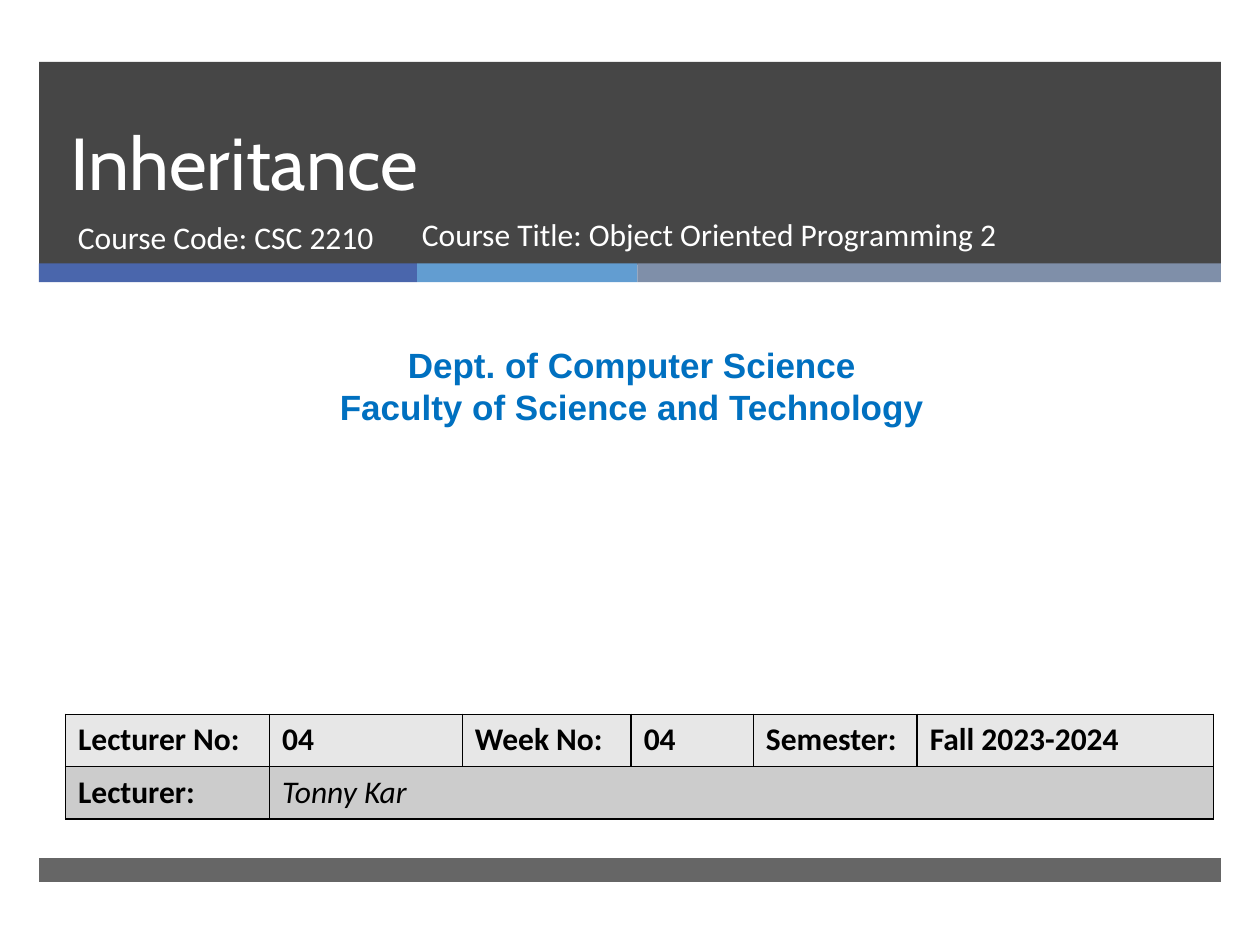
from dataclasses import dataclass

from lxml import etree
from pptx import Presentation
from pptx import util as u
from pptx.dml.color import RGBColor
from pptx.enum import shapes, text
from pptx.oxml import ns


@dataclass(frozen=True)
class Theme:
    dark: str = "262626"
    accents: tuple = ("4A66AC", "629DD1", "7F8FA9")
    light: str = "FFFFFF"
    ink: str = "000000"
    department: str = "0070C0"
    rows: tuple = ("E7E7E7", "CCCCCC")
    title_font: str = "Cabin"
    body_font: str = "Calibri"
    department_font: str = "Arial"
    title_size: int = 42
    body_size: int = 18
    department_size: int = 20


THEME = Theme()
WIDTH, HEIGHT = 10, 7.5
MARGIN = 0.31
BAND_WIDTH = WIDTH - 2 * MARGIN
STRIPE_TOP, STRIPE_HEIGHT = 2.09, 0.15
STRIPE_WIDTHS = (3, 1.75, 4.63)
TABLE_LEFT, TABLE_TOP, ROW_HEIGHT = 0.52, 5.67, 0.415
COLUMN_WIDTHS = (1.62, 1.53, 1.34, 0.97, 1.3, 2.35)
DETAILS = (
    ("Lecturer No:", "04", "Week No:", "04", "Semester:", "Fall 2023-2024"),
    ("Lecturer:", "Tonny Kar"),
)


def inches(*lengths):
    return [u.Inches(length) for length in lengths]


def style(para, font, size, color, bold=False, italic=False):
    for span in para.runs:
        span.font.name = font
        span.font.size = u.Pt(size)
        span.font.color.rgb = RGBColor.from_string(color)
        span.font.bold = bold
        span.font.italic = italic


def add_band(page, left, top, width, height, color, opacity=100):
    band = page.shapes.add_shape(
        shapes.MSO_SHAPE.RECTANGLE, *inches(left, top, width, height))
    band.shadow.inherit = False
    band.fill.solid()
    band.fill.fore_color.rgb = RGBColor.from_string(color)
    band.line.fill.background()
    if opacity < 100:
        tint = band.fill._xPr.find(".//" + ns.qn("a:srgbClr"))
        etree.SubElement(tint, ns.qn("a:alpha"), val=str(opacity * 1000))


def add_text(page, place, lines, font, size, color, bold=False,
             align=text.PP_ALIGN.LEFT, anchor=text.MSO_ANCHOR.TOP,
             spacing=None):
    box = page.shapes.add_textbox(*inches(*place))
    frame = box.text_frame
    frame.word_wrap = True
    frame.vertical_anchor = anchor
    frame.text = lines
    for para in frame.paragraphs:
        para.alignment = align
        if spacing:
            para.line_spacing = u.Pt(spacing)
        style(para, font, size, color, bold)


def add_borders(cell, color, points=1):
    properties = cell._tc.get_or_add_tcPr()
    for side in ("lnL", "lnR", "lnT", "lnB"):
        line = etree.SubElement(
            properties, ns.qn("a:" + side), w=str(u.Pt(points)))
        fill = etree.SubElement(line, ns.qn("a:solidFill"))
        etree.SubElement(fill, ns.qn("a:srgbClr"), val=color)


def add_details(page):
    """Add the table of lecture details; the lecturer's name spans the rest."""
    place = inches(TABLE_LEFT, TABLE_TOP, sum(COLUMN_WIDTHS),
                   ROW_HEIGHT * len(DETAILS))
    table = page.shapes.add_table(
        len(DETAILS), len(COLUMN_WIDTHS), *place).table
    for column, width in zip(table.columns, COLUMN_WIDTHS):
        column.width = u.Inches(width)
    for r, (words, color) in enumerate(zip(DETAILS, THEME.rows)):
        for c in range(len(COLUMN_WIDTHS)):
            cell = table.cell(r, c)
            add_borders(cell, THEME.ink)
            cell.fill.solid()
            cell.fill.fore_color.rgb = RGBColor.from_string(color)
            if c < len(words):
                is_name = (r, c) == (1, 1)
                cell.text_frame.text = words[c]
                style(cell.text_frame.paragraphs[0], THEME.body_font,
                      THEME.body_size, THEME.ink,
                      bold=not is_name, italic=is_name)
    table.cell(1, 1).merge(table.cell(1, len(COLUMN_WIDTHS) - 1))


def add_bands(page):
    add_band(page, MARGIN, 0.49, BAND_WIDTH, 1.61, THEME.dark, 85)
    left = MARGIN
    for width, color in zip(STRIPE_WIDTHS, THEME.accents):
        add_band(page, left, STRIPE_TOP, width, STRIPE_HEIGHT, color)
        left += width
    add_band(page, MARGIN, 6.81, BAND_WIDTH, 0.19, THEME.dark, 70)


def main():
    deck = Presentation()
    deck.slide_width, deck.slide_height = inches(WIDTH, HEIGHT)
    page = deck.slides.add_slide(deck.slide_layouts[6])
    add_bands(page)
    add_text(page, (0.46, 0.49, 8.54, 1.19), "Inheritance",
             THEME.title_font, THEME.title_size, THEME.light,
             anchor=text.MSO_ANCHOR.BOTTOM, spacing=46)
    add_text(page, (0.52, 1.68, 3.05, 0.53), "Course Code: CSC 2210",
             THEME.body_font, THEME.body_size, THEME.light)
    add_text(page, (0.08, 2.68, 9.87, 0.77),
             "Dept. of Computer Science\nFaculty of Science and Technology",
             THEME.department_font, THEME.department_size, THEME.department,
             bold=True, align=text.PP_ALIGN.CENTER, spacing=24)
    add_details(page)
    add_text(page, (3.25, 1.66, 5.11, 0.53),
             "Course Title: Object Oriented Programming 2",
             THEME.body_font, THEME.body_size, THEME.light)
    deck.save("out.pptx")


if __name__ == "__main__":
    main()
